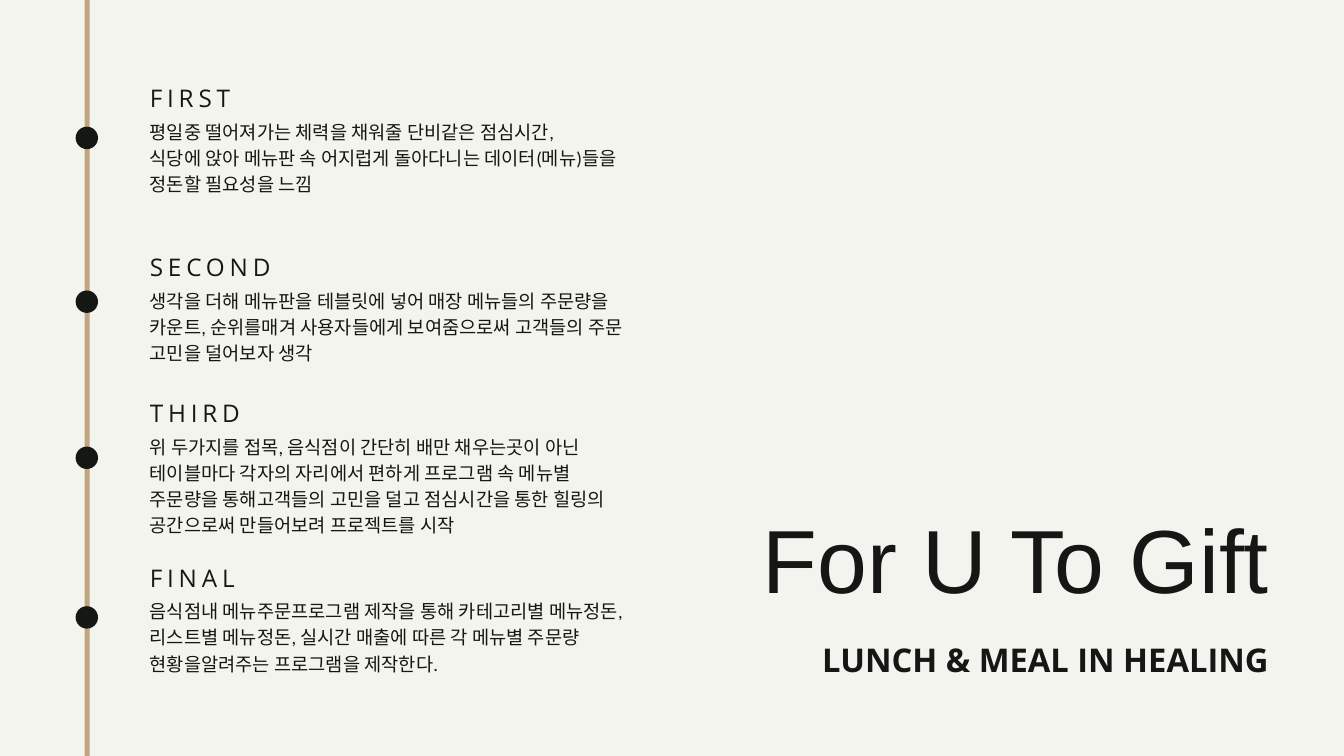
from pptx import Presentation
from pptx.dml.color import RGBColor
from pptx.enum.shapes import MSO_SHAPE
from pptx.enum.text import MSO_ANCHOR, MSO_AUTO_SIZE, PP_ALIGN
from pptx.util import Pt

EMU_PER_PX = 9525  # 96 px to the inch
COLORS = {"paper": "F3F4ED", "ink": "151715", "line": "C1A480"}

TEXT_LEFT, TEXT_WIDTH = 214, 705
HEADING_HEIGHT, STORY_OFFSET = 41, 48
DOT_LEFT, DOT_SIZE = 108, 32

# heading, heading top, dot top, story height, story paragraphs
STEPS = [
    ("FIRST", 119, 181, 108, [
        "평일중 떨어져가는 체력을 채워줄 단비같은 점심시간,",
        "식당에 앉아 메뉴판 속 어지럽게 돌아다니는 데이터(메뉴)들을",
        "정돈할 필요성을 느낌",
    ]),
    ("SECOND", 361, 415, 108, [
        "생각을 더해 메뉴판을 테블릿에 넣어 매장 메뉴들의 주문량을 카운트, "
        "순위를매겨 사용자들에게 보여줌으로써 고객들의 주문 고민을 덜어보자 생각",
    ]),
    ("THIRD", 569, 638, 146, [
        "위 두가지를 접목, 음식점이 간단히 배만 채우는곳이 아닌 테이블마다 "
        "각자의 자리에서 편하게 프로그램 속 메뉴별 주문량을 통해고객들의 고민을 "
        "덜고 점심시간을 통한 힐링의 공간으로써 만들어보려 프로젝트를 시작",
    ]),
    ("FINAL", 804, 866, 108, [
        "음식점내 메뉴주문프로그램 제작을 통해 카테고리별 메뉴정돈, "
        "리스트별 메뉴정돈, 실시간 매출에 따른 각 메뉴별 주문량 "
        "현황을알려주는 프로그램을 제작한다.",
    ]),
]


def px(*lengths):
    return [length * EMU_PER_PX for length in lengths]


def color(name):
    return RGBColor.from_string(COLORS[name])


def write(shape, lines, font, size, leading, align=PP_ALIGN.LEFT, bold=False, spacing=0):
    """Fill a text shape; leading is in points, spacing in hundredths of a point."""
    frame = shape.text_frame
    frame.text = "\n".join(lines)
    frame.word_wrap = True
    frame.auto_size = MSO_AUTO_SIZE.SHAPE_TO_FIT_TEXT
    frame.vertical_anchor = MSO_ANCHOR.TOP
    frame.margin_left = frame.margin_right = frame.margin_top = frame.margin_bottom = 0
    for paragraph in frame.paragraphs:
        paragraph.alignment = align
        paragraph.line_spacing = Pt(leading)
        paragraph.space_before = Pt(0)
        for run in paragraph.runs:
            run.font.name = font
            run.font.size = Pt(size)
            run.font.bold = bold
            run.font.color.rgb = color("ink")
            if spacing:
                run._r.get_or_add_rPr().set("spc", str(spacing))


def place(shape, left, top, width, height):
    shape.left, shape.top, shape.width, shape.height = px(left, top, width, height)


def add_filled(slide, kind, box, fill):
    shape = slide.shapes.add_shape(kind, *px(*box))
    shape.shadow.inherit = False
    shape.fill.solid()
    shape.fill.fore_color.rgb = color(fill)
    shape.line.fill.background()


def add_step(slide, heading, top, dot_top, story_height, story):
    add_filled(slide, MSO_SHAPE.OVAL, (DOT_LEFT, dot_top, DOT_SIZE, DOT_SIZE), "ink")
    heading_box = slide.shapes.add_textbox(*px(TEXT_LEFT, top, TEXT_WIDTH, HEADING_HEIGHT))
    write(heading_box, [heading], "Open Sans", 26, 31.2, spacing=520)
    story_box = slide.shapes.add_textbox(
        *px(TEXT_LEFT, top + STORY_OFFSET, TEXT_WIDTH, story_height))
    write(story_box, story, "Calibri", 20, 28)


def main():
    deck = Presentation()
    deck.slide_width, deck.slide_height = px(1920, 1080)
    slide = deck.slides.add_slide(deck.slide_layouts[0])
    slide.background.fill.solid()
    slide.background.fill.fore_color.rgb = color("paper")

    # Title and subtitle, set to the right
    title, subtitle = slide.placeholders
    place(title, 1042, 745, 771, 139)
    write(title, ["For U To Gift"], "Arial", 96, 96, PP_ALIGN.RIGHT)
    place(subtitle, 1042, 919, 771, 53)
    write(subtitle, ["LUNCH & MEAL IN HEALING"], "Open Sans", 35, 38.5,
          PP_ALIGN.RIGHT, bold=True)

    # Timeline, bleeding past the top and bottom edges
    add_filled(slide, MSO_SHAPE.RECTANGLE, (121, -65, 7, 1211), "line")
    for step in STEPS:
        add_step(slide, *step)

    deck.save("out.pptx")


if __name__ == "__main__":
    main()
